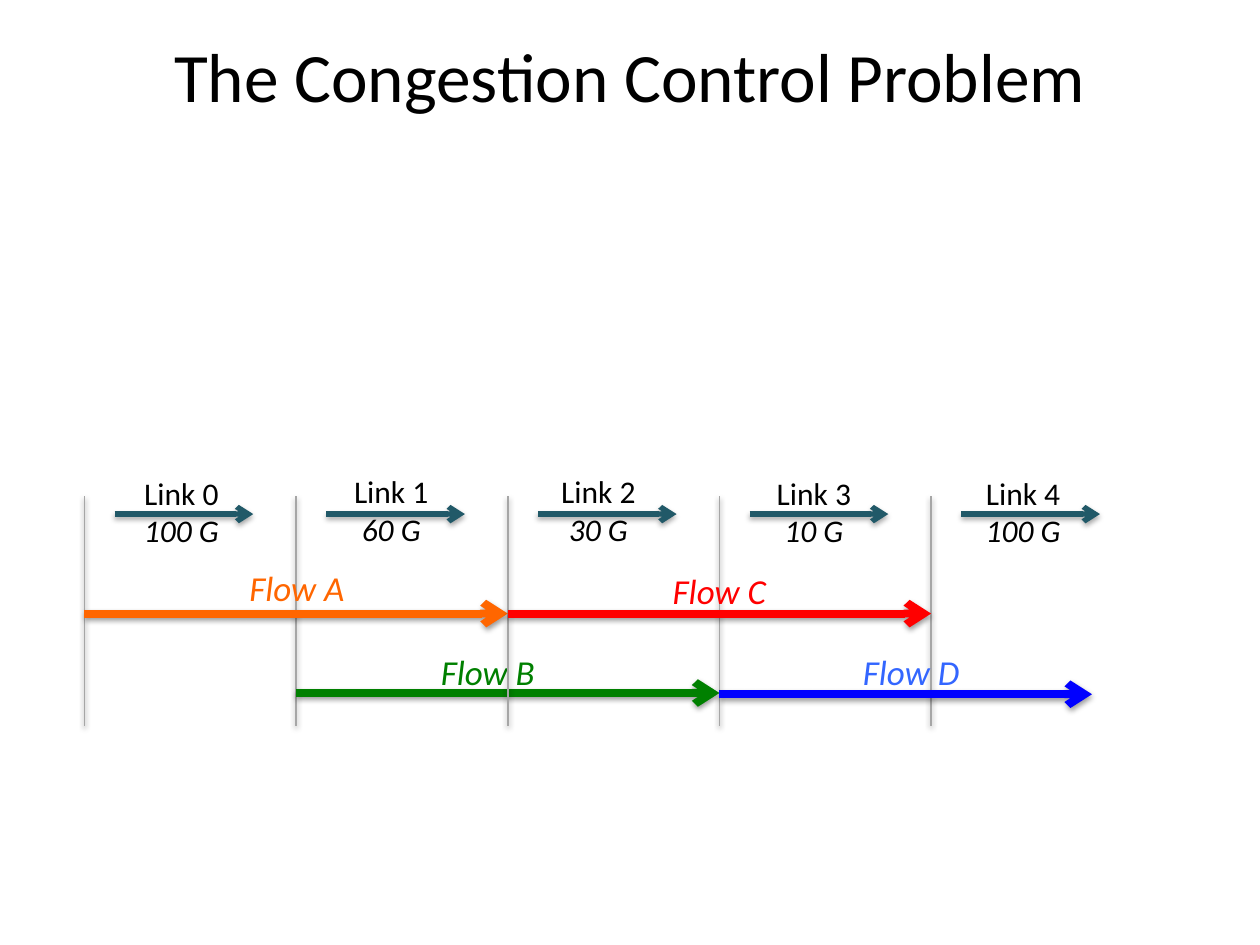
from lxml import etree
from pptx import Presentation
from pptx.dml.color import RGBColor
from pptx.enum.shapes import MSO_CONNECTOR
from pptx.enum.text import MSO_ANCHOR, MSO_AUTO_SIZE, PP_ALIGN
from pptx.oxml import parse_xml
from pptx.oxml.ns import nsdecls, qn
from pptx.util import Inches, Pt

STRAIGHT = MSO_CONNECTOR.STRAIGHT
TOP = MSO_ANCHOR.TOP
FIT = MSO_AUTO_SIZE.SHAPE_TO_FIT_TEXT
LEFT, CENTER = PP_ALIGN.LEFT, PP_ALIGN.CENTER

THEME = {
    "font": "Calibri", "ink": "000000", "edge": "A6A6A6", "link": "215968",
    "title_size": 39.6, "link_size": 18, "flow_size": 20,
    "edge_width": 1, "link_width": 3, "flow_width": 4.5,
}
TITLE = "The Congestion Control Problem"
LINKS = [
    {"name": "Link 0", "rate": "100 G", "box": (0.39, 3.71, 2.1, 0.71)},
    {"name": "Link 1", "rate": "60 G", "box": (2.61, 3.7, 0.99, 0.71)},
    {"name": "Link 2", "rate": "30 G", "box": (3.7, 3.7, 2.1, 0.71)},
    {"name": "Link 3", "rate": "10 G", "box": (5.41, 3.71, 2.1, 0.71)},
    {"name": "Link 4", "rate": "100 G", "box": (7.07, 3.71, 2.1, 0.71)},
]
FLOWS = [
    {"name": "Flow B", "edges": (3, 1), "first": 1, "span": 2, "row": 5.5,
     "line": "008000", "ink": "008000", "box": (3.4, 5.11, 1.26, 0.44)},
    {"name": "Flow A", "edges": (0, 2), "first": 0, "span": 2, "row": 4.87,
     "line": "FF6600", "ink": "FF6600", "box": (1.88, 4.45, 1.48, 0.44)},
    {"name": "Flow C", "edges": (4,), "first": 2, "span": 2, "row": 4.87,
     "line": "FF0000", "ink": "FF0000", "box": (5.24, 4.47, 1.48, 0.44)},
    {"name": "Flow D", "edges": (), "first": 3, "span": 1.76, "row": 5.51,
     "line": "0000FF", "ink": "3366FF", "box": (6.75, 5.11, 1.26, 0.44)},
]
START, STEP = 0.67, 1.68
EDGE_TOP, EDGE_END = 3.94, 5.76
LINK_ROW, LINK_GAP, LINK_LEN = 4.08, 0.24, 1.1
EDGE_CAST, LINK_CAST = (1.6, 38), (1.8, 35)


def edge_x(index):
    """Return the x position of a link boundary."""
    return START + index * STEP


def add_text(slide, box, lines, size, ink, align):
    """Add a text box of (text, italic) lines."""
    shape = slide.shapes.add_textbox(*map(Inches, box))
    frame = shape.text_frame
    frame.word_wrap = True
    frame.vertical_anchor = TOP
    frame.text = "\n".join(text for text, slant in lines)
    for para, (text, slant) in zip(frame.paragraphs, lines):
        para.alignment = align
        font = para.runs[0].font
        font.name = THEME["font"]
        font.size = Pt(size)
        font.italic = slant
        font.color.rgb = RGBColor.from_string(ink)
    return frame


def add_line(slide, start, end, color, width, cast, arrow=True):
    """Add a straight line with a soft shadow and an optional arrowhead."""
    line = slide.shapes.add_connector(STRAIGHT, *map(Inches, start + end))
    line.line.color.rgb = RGBColor.from_string(color)
    line.line.width = Pt(width)
    props = line.element.spPr
    if arrow:
        etree.SubElement(props.find(qn("a:ln")), qn("a:tailEnd"), type="arrow")
    dist, alpha = cast
    props.append(parse_xml(
        f'<a:effectLst {nsdecls("a")}><a:outerShdw blurRad="{Pt(3.1)}" '
        f'dist="{Pt(dist)}" dir="5400000" rotWithShape="0">'
        f'<a:srgbClr val="000000"><a:alpha val="{alpha * 1000}"/></a:srgbClr>'
        '</a:outerShdw></a:effectLst>'))


def add_link(slide, index, link):
    """Add a link arrow with its name and rate."""
    lines = [(link["name"], False), (link["rate"], True)]
    frame = add_text(slide, link["box"], lines, THEME["link_size"],
                     THEME["ink"], CENTER)
    frame.auto_size = FIT
    left = edge_x(index) + LINK_GAP
    add_line(slide, (left, LINK_ROW), (left + LINK_LEN, LINK_ROW),
             THEME["link"], THEME["link_width"], LINK_CAST)


def add_flow(slide, flow):
    """Add a flow arrow, its label and the boundaries behind it."""
    for index in flow["edges"]:
        x = edge_x(index)
        add_line(slide, (x, EDGE_TOP), (x, EDGE_END), THEME["edge"],
                 THEME["edge_width"], EDGE_CAST, arrow=False)
    first, last = edge_x(flow["first"]), edge_x(flow["first"] + flow["span"])
    add_line(slide, (first, flow["row"]), (last, flow["row"]), flow["line"],
             THEME["flow_width"], EDGE_CAST)
    frame = add_text(slide, flow["box"], [(flow["name"], True)],
                     THEME["flow_size"], flow["ink"], LEFT)
    frame.auto_size = FIT


def main():
    """Build and save the slide."""
    deck = Presentation()
    deck.slide_width, deck.slide_height = Inches(10), Inches(7.5)
    slide = deck.slides.add_slide(deck.slide_layouts[6])
    title = add_text(slide, (0.5, 0.26, 9, 1.25), [(TITLE, False)],
                     THEME["title_size"], THEME["ink"], CENTER)
    title.margin_top = 0
    for flow in FLOWS:
        add_flow(slide, flow)
    for index, link in enumerate(LINKS):
        add_link(slide, index, link)
    deck.save("out.pptx")


if __name__ == "__main__":
    main()
